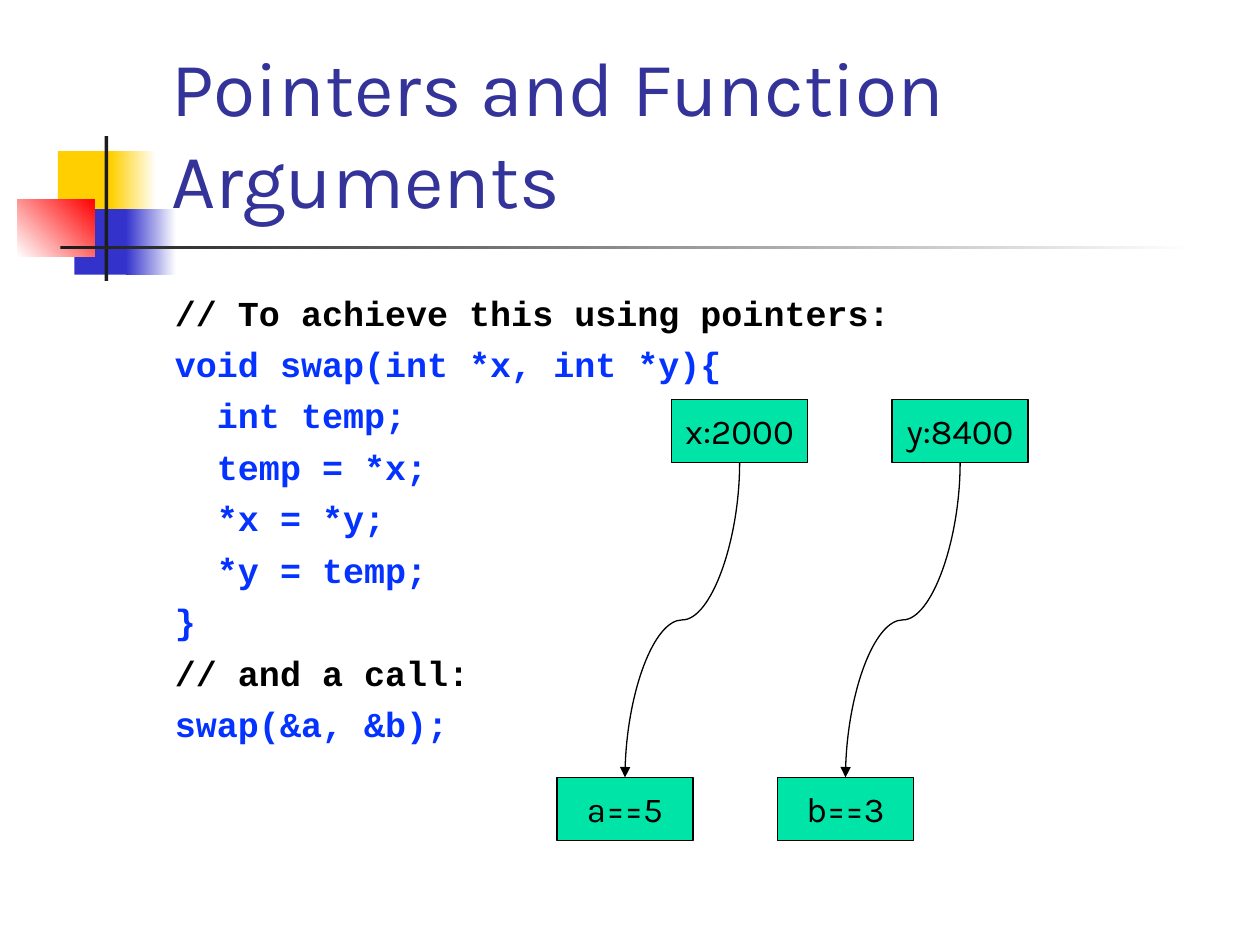
import pptx
import pptx.dml.color
import pptx.enum.shapes
import pptx.enum.text
import pptx.oxml
import pptx.oxml.ns
import pptx.util

PX = 9144
COLORS = {
    "white": "FFFFFF", "black": "000000", "ink": "1C1C1C", "yellow": "FFCF01",
    "blue": "3333CC", "red": "FF0000", "title": "333399", "code": "0432FF",
    "box": "00E4A8",
}
CODE = [
    ("// To achieve this using pointers:", "black"),
    ("void swap(int *x, int *y){", "code"),
    ("  int temp;", "code"),
    ("  temp = *x;", "code"),
    ("  *x = *y;", "code"),
    ("  *y = temp;", "code"),
    ("}", "code"),
    ("// and a call:", "black"),
    ("swap(&a, &b);", "code"),
]
DECORATIONS = [
    ((46, 120, 48, 52), ["yellow"], 0),
    ((88, 120, 36, 52), ["yellow", "white"], 0),
    ((59, 166, 46, 52), ["blue"], 0),
    ((100, 166, 40, 52), ["blue", "white"], 0),
    ((14, 158, 61, 46), ["white", "red"], 45),
    ((83, 108, 3, 115), ["ink"], 0),
    ((48, 195, 900, 3), ["ink", "white"], 0),
]
BOX_W, BOX_H = 108, 50
POINTER_TOP, VARIABLE_TOP = 317, 617
PAIRS = [("x:2000", 533, "a==5", 442), ("y:8400", 708, "b==3", 617)]


def px(*values):
    """Turn px lengths into EMU."""
    return [pptx.util.Emu(round(v * PX)) for v in values]


def rgb(name):
    """Look up a named colour."""
    return pptx.dml.color.RGBColor.from_string(COLORS[name])


def add_run(p, text, font, size, color, bold=False):
    """Append a formatted run to a paragraph."""
    r = p.add_run()
    r.text = text
    r.font.name = font
    r.font.size = pptx.util.Pt(size)
    r.font.bold = bold
    r.font.color.rgb = rgb(color)


def add_rect(s, frame, colors, angle=0):
    """Add a borderless rectangle with a solid or two-colour fill."""
    sp = s.shapes.add_shape(pptx.enum.shapes.MSO_SHAPE.RECTANGLE, *px(*frame))
    sp.shadow.inherit = False
    sp.line.fill.background()
    if len(colors) == 1:
        sp.fill.solid()
        sp.fill.fore_color.rgb = rgb(colors[0])
    else:
        sp.fill.gradient()
        sp.fill.gradient_angle = angle
        for stop, color in zip(sp.fill.gradient_stops, colors):
            stop.color.rgb = rgb(color)
    return sp


def add_box(s, text, left, top):
    """Add an outlined memory box with a centred label."""
    sp = add_rect(s, (left, top, BOX_W, BOX_H), ["box"])
    sp.line.color.rgb = rgb("black")
    sp.line.width = pptx.util.Pt(0.75)
    tf = sp.text_frame
    tf.word_wrap = False
    tf.vertical_anchor = pptx.enum.text.MSO_ANCHOR.MIDDLE
    p = tf.paragraphs[0]
    p.alignment = pptx.enum.text.PP_ALIGN.CENTER
    add_run(p, text, "Karla", 20, "black")


def add_curve(s, x1, y1, x2, y2):
    """Add a curved arrow that leaves and arrives vertically."""
    length, spread = y2 - y1, x1 - x2
    left = (x1 + x2 - length) / 2
    top = (y1 + y2 - spread) / 2
    c = s.shapes.add_connector(
        pptx.enum.shapes.MSO_CONNECTOR.CURVE,
        *px(left, top, left + length, top + spread))
    c.line.color.rgb = rgb("black")
    c.line.width = pptx.util.Pt(0.75)
    sppr = c.element.spPr
    sppr.find(pptx.oxml.ns.qn("a:xfrm")).set("rot", "5400000")
    ns = pptx.oxml.ns.nsdecls("a")
    c.line._get_or_add_ln().append(
        pptx.oxml.parse_xml(f'<a:tailEnd {ns} type="triangle"/>'))
    sppr.append(pptx.oxml.parse_xml(f"<a:effectLst {ns}/>"))


def set_title(s, text):
    """Place and format the title above the decorations."""
    sp = s.shapes.title
    sp.left, sp.top, sp.width, sp.height = px(126, 23, 852, 160)
    s.shapes.element.append(sp.element)
    tf = sp.text_frame
    tf.word_wrap = True
    tf.auto_size = pptx.enum.text.MSO_AUTO_SIZE.NONE
    tf.vertical_anchor = pptx.enum.text.MSO_ANCHOR.BOTTOM
    p = tf.paragraphs[0]
    p.alignment = pptx.enum.text.PP_ALIGN.LEFT
    add_run(p, text, "Karla", 44, "title")


def add_code(s, lines):
    """Add the code listing, one paragraph a line."""
    tf = s.shapes.add_textbox(*px(129, 221, 850, 450)).text_frame
    tf.word_wrap = True
    tf.margin_top = px(10)[0]
    for i, (text, color) in enumerate(lines):
        p = tf.add_paragraph() if i else tf.paragraphs[0]
        if i:
            p.space_before = pptx.util.Pt(5.4)
        add_run(p, text, "Courier New", 20, color, bold=True)


def main():
    """Build and save the slide."""
    prs = pptx.Presentation()
    prs.slide_width, prs.slide_height = px(1000, 750)
    s = prs.slides.add_slide(prs.slide_layouts[5])
    for frame, colors, angle in DECORATIONS:
        add_rect(s, frame, colors, angle)
    set_title(s, "Pointers and Function Arguments")
    add_code(s, CODE)
    for pointer, pointer_left, variable, variable_left in PAIRS:
        add_box(s, variable, variable_left, VARIABLE_TOP)
        add_box(s, pointer, pointer_left, POINTER_TOP)
        add_curve(s, pointer_left + BOX_W / 2, POINTER_TOP + BOX_H,
                  variable_left + BOX_W / 2, VARIABLE_TOP)
    prs.save("out.pptx")


if __name__ == "__main__":
    main()
